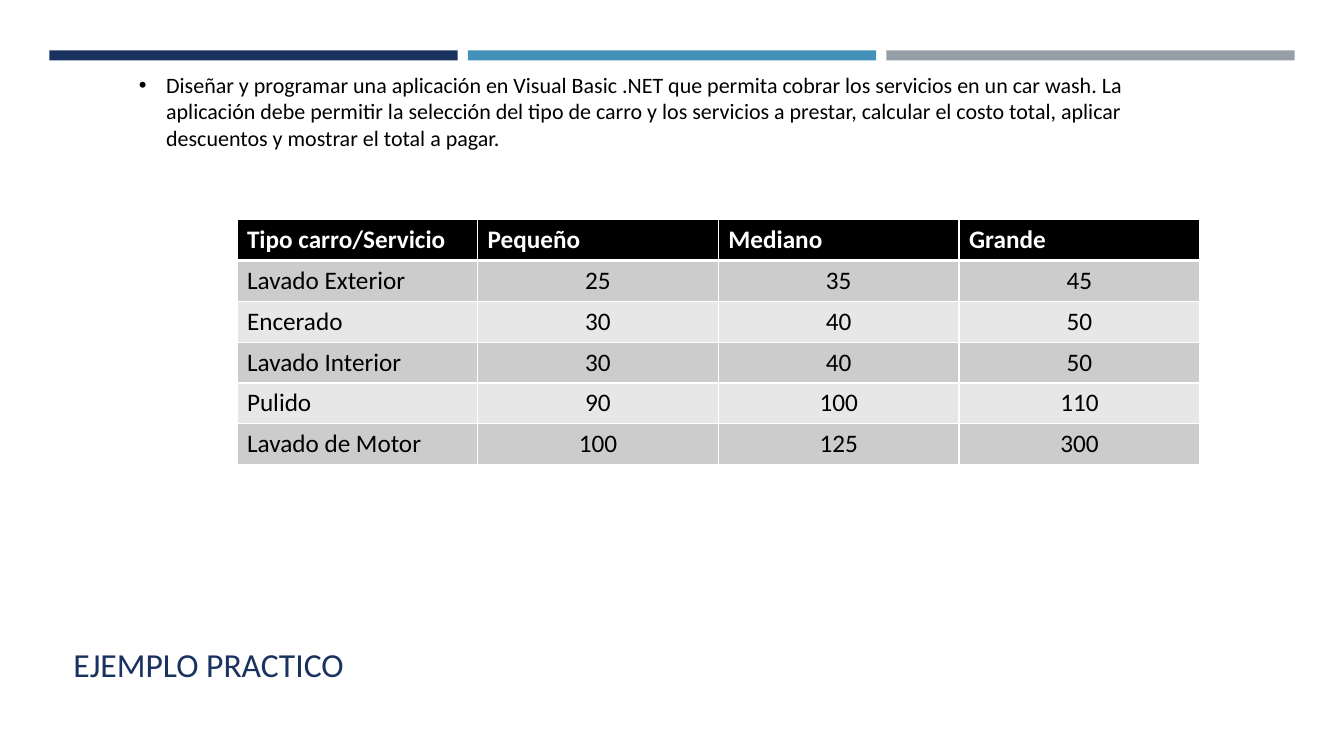
from pptx import Presentation
from pptx.dml.color import RGBColor
from pptx.enum.shapes import MSO_SHAPE
from pptx.enum.text import MSO_ANCHOR, PP_ALIGN
from pptx.oxml import parse_xml
from pptx.oxml.ns import nsdecls
from pptx.util import Inches, Pt

NAVY = RGBColor(0x1A, 0x32, 0x60)
BLUE = RGBColor(0x45, 0x90, 0xB8)
GRAY = RGBColor(0x96, 0x9F, 0xA7)
BLACK = RGBColor(0x00, 0x00, 0x00)
WHITE = RGBColor(0xFF, 0xFF, 0xFF)
DARK_BAND = RGBColor(0xCC, 0xCC, 0xCC)
LIGHT_BAND = RGBColor(0xE7, 0xE7, 0xE7)


def set_font(paragraph, size, color, bold=False):
    font = paragraph.font
    font.name, font.size, font.bold = "Calibri", Pt(size), bold
    font.color.rgb = color


def add_border(cell, side, points):
    cell._tc.get_or_add_tcPr().append(parse_xml(
        f'<a:{side} {nsdecls("a")} w="{Pt(points)}"><a:solidFill>'
        f'<a:srgbClr val="{WHITE}"/></a:solidFill></a:{side}>'))


presentation = Presentation()
presentation.slide_width = Inches(13.33)
presentation.slide_height = Inches(7.5)
slide = presentation.slides.add_slide(presentation.slide_layouts[6])

# Colour bars across the top
for index, color in enumerate([NAVY, BLUE, GRAY]):
    bar = slide.shapes.add_shape(MSO_SHAPE.RECTANGLE, Inches(0.49 + 4.15 * index),
                                 Inches(0.5), Inches(4.05), Inches(0.1))
    bar.shadow.inherit = False
    bar.fill.solid()
    bar.fill.fore_color.rgb = color
    bar.line.fill.background()

# Title
title = slide.shapes.add_textbox(Inches(0.63), Inches(6.22), Inches(12.06), Inches(0.62))
title.text_frame.word_wrap = True
title.text_frame.vertical_anchor = MSO_ANCHOR.BOTTOM
paragraph = title.text_frame.paragraphs[0]
paragraph.text = "EJEMPLO PRACTICO"
set_font(paragraph, 24, NAVY)

# Task statement
statement = slide.shapes.add_textbox(Inches(1.28), Inches(0.66), Inches(10.76), Inches(0.89))
statement.text_frame.word_wrap = True
paragraph = statement.text_frame.paragraphs[0]
paragraph.text = (
    "Diseñar y programar una aplicación en Visual Basic .NET que permita cobrar los "
    "servicios en un car wash. La aplicación debe permitir la selección del tipo de carro "
    "y los servicios a prestar, calcular el costo total, aplicar descuentos y mostrar el "
    "total a pagar.")
properties = paragraph._p.get_or_add_pPr()
properties.set("marL", str(Inches(0.27)))
properties.set("indent", str(-Inches(0.27)))
properties.append(parse_xml(f'<a:buFont {nsdecls("a")} typeface="Arial"/>'))
properties.append(parse_xml(f'<a:buChar {nsdecls("a")} char="•"/>'))
paragraph.space_after = Pt(6)
set_font(paragraph, 15.7, BLACK)

# Price table
prices = [
    ["Tipo carro/Servicio", "Pequeño", "Mediano", "Grande"],
    ["Lavado Exterior", "25", "35", "45"],
    ["Encerado", "30", "40", "50"],
    ["Lavado Interior", "30", "40", "50"],
    ["Pulido", "90", "100", "110"],
    ["Lavado de Motor", "100", "125", "300"],
]
table = slide.shapes.add_table(len(prices), len(prices[0]), Inches(2.35), Inches(2.18),
                               Inches(9.55), Inches(2.43)).table
for row in table.rows:
    row.height = Inches(0.405)
for row_index, values in enumerate(prices):
    is_header = row_index == 0
    band = BLACK if is_header else DARK_BAND if row_index % 2 else LIGHT_BAND
    for column_index, value in enumerate(values):
        cell = table.cell(row_index, column_index)
        add_border(cell, "lnL", 1)
        add_border(cell, "lnR", 1)
        add_border(cell, "lnT", 3 if row_index == 1 else 1)
        add_border(cell, "lnB", 3 if is_header else 1)
        cell.fill.solid()
        cell.fill.fore_color.rgb = band
        paragraph = cell.text_frame.paragraphs[0]
        paragraph.text = value
        if column_index and not is_header:
            paragraph.alignment = PP_ALIGN.CENTER
        set_font(paragraph, 18, WHITE if is_header else BLACK, is_header)

presentation.save("out.pptx")
